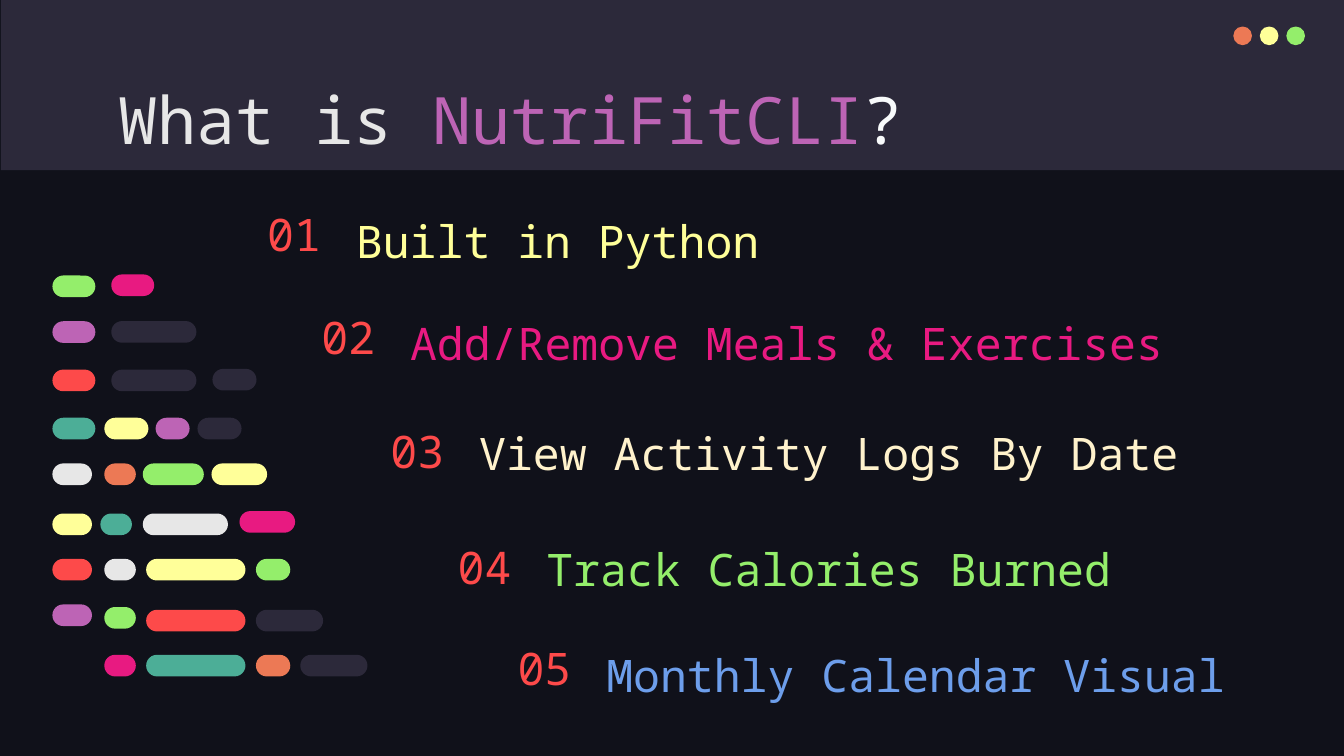
from pptx import Presentation
from pptx.dml.color import RGBColor
from pptx.enum import shapes, text
from pptx.util import Pt

FONT = "Noto Sans Mono"
COLORS = {
    "night": "10111A", "slate": "2C293A", "light": "E7E7E7", "white": "F8FAFB",
    "green": "94EE6B", "pink": "E81A81", "purple": "BD64B5", "red": "FD4A4A",
    "teal": "4CAE97", "yellow": "FFFF99", "orange": "EC7955", "cream": "FFF2CC",
    "blue": "6D9EEB",
}


def write_text(shape, runs, size=24, anchor=text.MSO_ANCHOR.MIDDLE, line_spacing=None):
    """Fill a shape with one left-aligned paragraph of (wording, color) runs."""
    frame = shape.text_frame
    frame.word_wrap = True
    frame.auto_size = text.MSO_AUTO_SIZE.NONE
    frame.vertical_anchor = anchor
    frame.margin_left = frame.margin_right = Pt(7.2)
    frame.margin_top = frame.margin_bottom = Pt(7.2)
    paragraph = frame.paragraphs[0]
    paragraph.alignment = text.PP_ALIGN.LEFT
    if line_spacing:
        paragraph.line_spacing = line_spacing
    for wording, color in runs:
        run = paragraph.add_run()
        run.text = wording
        run.font.name = FONT
        run.font.size = Pt(size)
        run.font.color.rgb = RGBColor.from_string(COLORS[color])


def add_block(kind, left, top, width, height, color):
    """Add a plain filled shape without outline or shadow."""
    shape = slide.shapes.add_shape(kind, Pt(left), Pt(top), Pt(width), Pt(height))
    shape.shadow.inherit = False
    shape.fill.solid()
    shape.fill.fore_color.rgb = RGBColor.from_string(COLORS[color])
    shape.line.fill.background()
    return shape


presentation = Presentation()
presentation.slide_width = Pt(720)
presentation.slide_height = Pt(405)
slide = presentation.slides.add_slide(presentation.slide_layouts[5])
slide.background.fill.solid()
slide.background.fill.fore_color.rgb = RGBColor.from_string(COLORS["night"])

# Header band with three window buttons
band = add_block(shapes.MSO_SHAPE.RECTANGLE, 0.5, 0, 720, 91.2, "slate")
for index, color in enumerate(["orange", "yellow", "green"]):
    add_block(shapes.MSO_SHAPE.OVAL, 660.7 + 14.2 * index, 14.2, 10, 10, color)

# Title, in front of the band
title = slide.shapes.title
title.left, title.top, title.width, title.height = Pt(56.2), Pt(35.3), Pt(607), Pt(45.4)
write_text(title, [("What is ", "light"), ("NutriFitCLI", "purple"), ("?", "white")],
           size=35, anchor=text.MSO_ANCHOR.TOP)
band.element.addnext(title.element)

# Code bars: each row holds (left, top, width, color)
code_rows = [
    [(28.1, 147.6, 23, "green"), (59.6, 147, 23, "pink")],
    [(28.1, 172.1, 23, "purple"), (59.6, 172, 45.6, "slate")],
    [(28.1, 198, 23, "red"), (59.6, 198, 45.6, "slate"), (113.8, 197.6, 23.6, "slate")],
    [(28.1, 223.8, 23, "teal"), (55.9, 223.8, 23.6, "yellow"),
     (83.4, 223.8, 18.2, "purple"), (105.8, 223.8, 23.6, "slate")],
    [(28.1, 248.3, 21.2, "light"), (55.9, 248.3, 16.9, "orange"),
     (76.5, 248.3, 32.7, "green"), (113.3, 248.3, 29.8, "yellow")],
    [(28.1, 275.1, 21.2, "yellow"), (53.8, 275.1, 16.9, "teal"),
     (76.5, 275.1, 45.6, "light"), (128.3, 273.8, 29.8, "pink")],
    [(28.1, 299.4, 21.2, "red"), (55.9, 299.4, 16.9, "light"),
     (78.3, 299.4, 53.2, "yellow"), (137.1, 299.4, 18.4, "green")],
    [(28.1, 323.8, 21.2, "purple"), (55.9, 325.2, 16.9, "green"),
     (78.3, 326.7, 53.2, "red"), (137.1, 326.7, 36, "slate")],
    [(55.9, 350.8, 16.9, "pink"), (78.3, 350.8, 53.2, "teal"),
     (137.1, 350.8, 18.4, "orange"), (160.9, 350.8, 36, "slate")],
]
for row in code_rows:
    for left, top, width, color in row:
        bar = add_block(shapes.MSO_SHAPE.ROUNDED_RECTANGLE, left, top, width, 11.6, color)
        bar.adjustments[0] = 0.5

# Numbered features: left, number top, number height, wording top, wording width
features = [
    (136.1, 109.4, 31, 112.3, 457.2, "Built in Python", "yellow"),
    (165.1, 164.9, 31, 167, 457.2, "Add/Remove Meals & Exercises", "pink"),
    (202.1, 226.1, 31, 226.1, 457.2, "View Activity Logs By Date", "cream"),
    (238.1, 288, 31, 288, 331.2, "Track Calories Burned", "green"),
    (270.2, 344.9, 25.9, 344.9, 457.2, "Monthly Calendar Visual", "blue"),
]
for number, (left, number_top, number_height, top, width, wording, color) in enumerate(features, 1):
    number_box = slide.shapes.add_textbox(Pt(left), Pt(number_top), Pt(47.5), Pt(number_height))
    write_text(number_box, [(f"{number:02}", "red")])
    feature_box = slide.shapes.add_textbox(Pt(left + 47.5), Pt(top), Pt(width), Pt(38.2))
    write_text(feature_box, [(wording, color)], anchor=text.MSO_ANCHOR.BOTTOM, line_spacing=1.15)

presentation.save("out.pptx")
